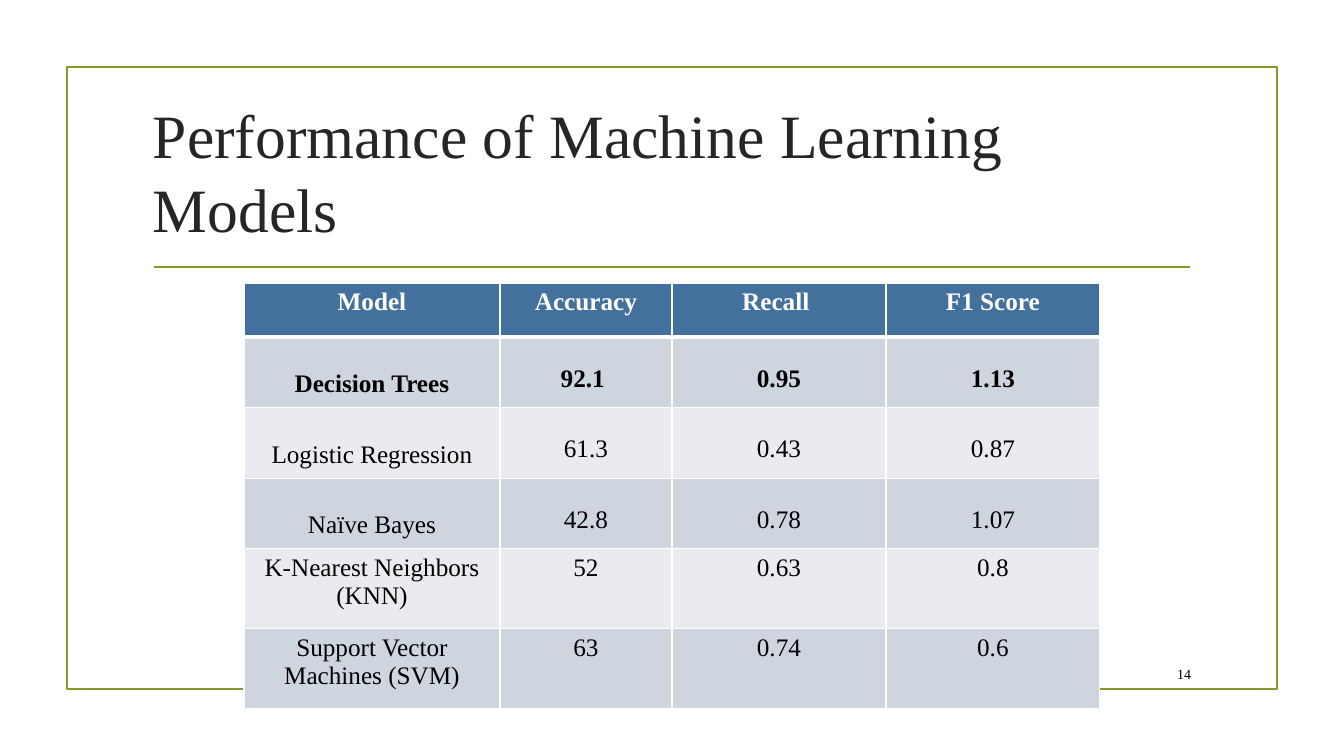
"""Build a slide with a table comparing machine learning models."""
from lxml import etree
from pptx import Presentation
from pptx.dml.color import RGBColor
from pptx.enum.shapes import MSO_CONNECTOR, MSO_SHAPE
from pptx.enum.text import MSO_ANCHOR, PP_ALIGN
from pptx.oxml import parse_xml
from pptx.oxml.ns import qn
from pptx.util import Emu, Pt

TITLE = "Performance of Machine Learning Models"
PAGE_NUMBER = "14"
ROWS = [
    ("Model", "Accuracy", "Recall ", "F1 Score"),
    ("Decision Trees", "92.1 ", "0.95", "1.13"),
    ("Logistic Regression", "61.3", "0.43", "0.87"),
    ("Naïve Bayes", "42.8", "0.78", "1.07"),
    ("K-Nearest Neighbors (KNN)", "52", "0.63", "0.8"),
    ("Support Vector Machines (SVM)", "63", "0.74", "0.6"),
]
COLUMN_WIDTHS = [256, 172, 214, 214]
ROW_HEIGHTS = [54, 46, 46, 46, 80, 80]
BOLD_ROWS = (0, 1)
DOUBLE_SPACED_ROWS = (1, 2, 3)

SLIDE_SIZE = (1344, 756)
FRAME = (67, 67, 1210, 622)
RULE = (154, 267, 1190, 267)
TITLE_BOX = (143, 108, 1058, 126)
TABLE_ORIGIN = (244, 283)
NUMBER_BOX = (1141, 658, 60, 31)
CELL_INSET = 7

FONT = "Times New Roman"
GREEN = RGBColor(0x83, 0x99, 0x2A)
CHARCOAL = RGBColor(0x26, 0x26, 0x26)
BLACK = RGBColor(0, 0, 0)
WHITE = RGBColor(0xFF, 0xFF, 0xFF)
HEADER_BLUE = RGBColor(0x44, 0x70, 0x9D)
BANDS = (RGBColor(0xE9, 0xEB, 0xEF), RGBColor(0xCF, 0xD5, 0xDF))

LEFT, CENTER, RIGHT = PP_ALIGN.LEFT, PP_ALIGN.CENTER, PP_ALIGN.RIGHT
MIDDLE = MSO_ANCHOR.MIDDLE
RECTANGLE = MSO_SHAPE.RECTANGLE
STRAIGHT = MSO_CONNECTOR.STRAIGHT
DRAWING = "http://schemas.openxmlformats.org/drawingml/2006/main"


def px(length):
    """Turn pixels into EMU."""
    return Emu(round(length * 914400 / 100.8))


def write(frame, text, size, color, align, bold=False):
    """Write one run into the first paragraph of a text frame."""
    para = frame.paragraphs[0]
    para.alignment = align
    span = para.add_run()
    span.text = text
    span.font.name = FONT
    span.font.size = Pt(size)
    span.font.bold = bold
    span.font.color.rgb = color
    return para


def add_text(page, place, text, size, color, align):
    """Add a wrapped, vertically centred text box."""
    box = page.shapes.add_textbox(*map(px, place))
    box.text_frame.word_wrap = True
    box.text_frame.vertical_anchor = MIDDLE
    write(box.text_frame, text, size, color, align)


def set_borders(cell, row):
    """Give a cell white borders, thick below the header row."""
    widths = {"L": 1, "R": 1, "T": 3 if row == 1 else 1, "B": 3 if row == 0 else 1}
    properties = cell._tc.get_or_add_tcPr()
    for index, (side, width) in enumerate(widths.items()):
        properties.insert(index, parse_xml(
            f'<a:ln{side} xmlns:a="{DRAWING}" w="{Pt(width)}">'
            f'<a:solidFill><a:srgbClr val="{WHITE}"/></a:solidFill></a:ln{side}>'))


def add_decoration(page):
    """Add the outer frame and the rule below the title."""
    border = page.shapes.add_shape(RECTANGLE, *map(px, FRAME))
    border.shadow.inherit = False
    border.fill.background()
    rule = page.shapes.add_connector(STRAIGHT, *map(px, RULE))
    etree.SubElement(rule._element.spPr, qn("a:effectLst"))
    for shape in (border, rule):
        shape.line.color.rgb = GREEN
        shape.line.width = Pt(1.25)


def add_results(page):
    """Add the table of model scores."""
    size = (sum(COLUMN_WIDTHS), sum(ROW_HEIGHTS))
    table = page.shapes.add_table(
        len(ROWS), len(COLUMN_WIDTHS), *map(px, TABLE_ORIGIN + size)).table
    for column, width in zip(table.columns, COLUMN_WIDTHS):
        column.width = px(width)
    for row, values in enumerate(ROWS):
        table.rows[row].height = px(ROW_HEIGHTS[row])
        for column, value in enumerate(values):
            cell = table.cell(row, column)
            cell.fill.solid()
            cell.fill.fore_color.rgb = BANDS[row % 2] if row else HEADER_BLUE
            set_borders(cell, row)
            para = write(cell.text_frame, value, 18, BLACK if row else WHITE,
                         CENTER, row in BOLD_ROWS)
            if row in DOUBLE_SPACED_ROWS:
                para.line_spacing = 2.0
                if column:
                    cell.margin_left = cell.margin_right = px(CELL_INSET)
                    cell.margin_top = cell.margin_bottom = 0


def main():
    """Build and save the deck."""
    deck = Presentation()
    deck.slide_width, deck.slide_height = map(px, SLIDE_SIZE)
    page = deck.slides.add_slide(deck.slide_layouts[6])
    add_decoration(page)
    add_text(page, TITLE_BOX, TITLE, 44, CHARCOAL, LEFT)
    add_results(page)
    add_text(page, NUMBER_BOX, PAGE_NUMBER, 10, BLACK, RIGHT)
    deck.save("out.pptx")


if __name__ == "__main__":
    main()
